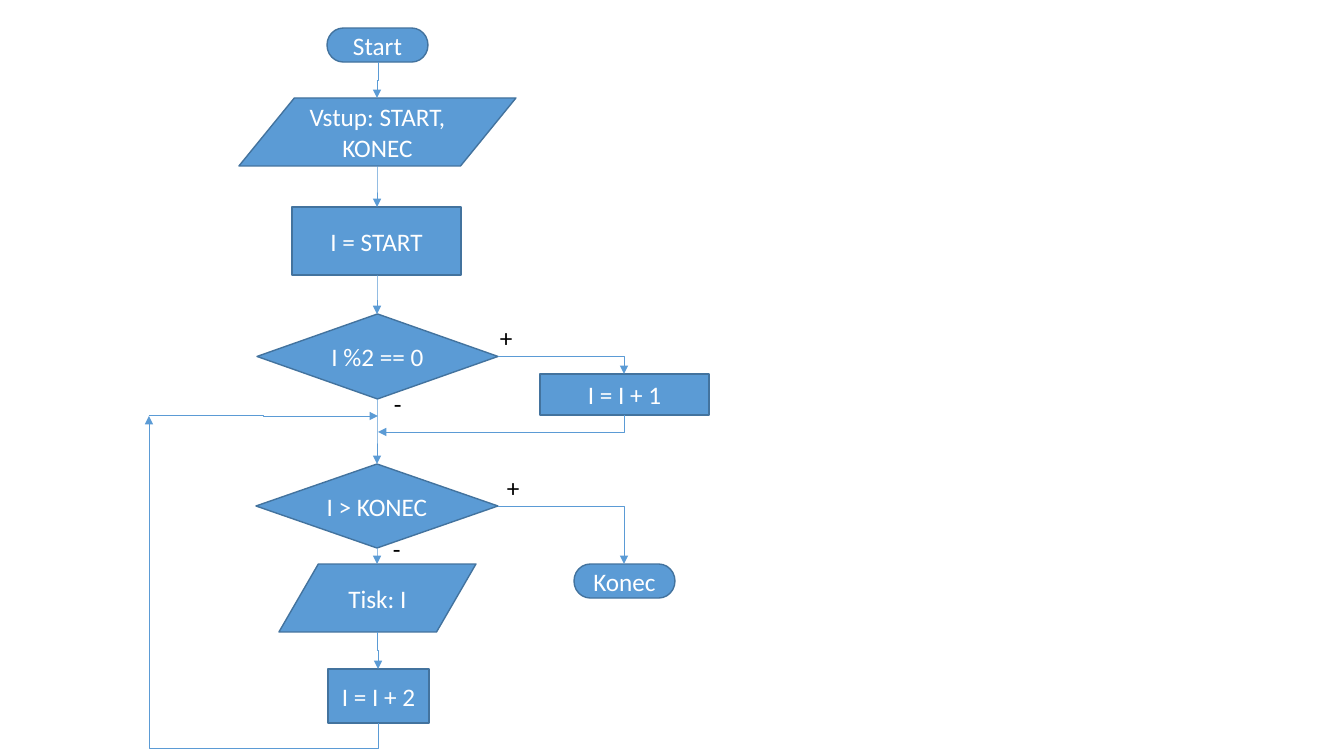
import pptx
import pptx.dml.color
import pptx.enum.shapes
import pptx.enum.text
import pptx.oxml.ns
import pptx.util
from lxml import etree

SCALE = 914400 / 100.8  # EMU per pixel
COLORS = {"fill": "5B9BD5", "outline": "43739E", "light": "FFFFFF", "dark": "000000"}
SHAPE = pptx.enum.shapes.MSO_SHAPE
qn = pptx.oxml.ns.qn


def px(*values):
    return [pptx.util.Emu(round(value * SCALE)) for value in values]


def color(name):
    return pptx.dml.color.RGBColor.from_string(COLORS[name])


class Flowchart:
    font = "Calibri"
    size = 18

    def __init__(self, slide):
        self.slide = slide

    def set_text(self, shape, text, color_name):
        shape.text_frame.text = text
        paragraph = shape.text_frame.paragraphs[0]
        for run in paragraph.runs:
            run.font.name = self.font
            run.font.size = pptx.util.Pt(self.size)
            run.font.color.rgb = color(color_name)
        return paragraph

    def node(self, kind, text, left, top, width, height):
        shape = self.slide.shapes.add_shape(kind, *px(left, top, width, height))
        shape.shadow.inherit = False
        shape.fill.solid()
        shape.fill.fore_color.rgb = color("fill")
        shape.line.color.rgb = color("outline")
        shape.line.width = pptx.util.Pt(1)
        shape.text_frame.word_wrap = True
        shape.text_frame.vertical_anchor = pptx.enum.text.MSO_ANCHOR.MIDDLE
        paragraph = self.set_text(shape, text, "light")
        paragraph.alignment = pptx.enum.text.PP_ALIGN.CENTER

    def label(self, text, left, top, width, height=40):
        box = self.slide.shapes.add_textbox(*px(left, top, width, height))
        box.text_frame.word_wrap = False
        box.text_frame.auto_size = pptx.enum.text.MSO_AUTO_SIZE.SHAPE_TO_FIT_TEXT
        self.set_text(box, text, "dark")

    def arrow(self, start, end, vertical=True, bends=2, adjust=None):
        """Elbow arrow that leaves its start vertically or horizontally."""
        (x1, y1), (x2, y2) = start, end
        rotation = 0
        if vertical:
            # A turned elbow is laid out in a box with swapped sides, same centre
            rotation = 90 if x2 <= x1 else 270
            flipped = (x2 > x1) == (y2 > y1)
            center_x, center_y = (x1 + x2) / 2, (y1 + y2) / 2
            half_width, half_height = abs(y2 - y1) / 2, abs(x2 - x1) / 2
            x1, x2 = center_x - half_width, center_x + half_width
            y1, y2 = center_y - half_height, center_y + half_height
            if flipped:
                x1, x2 = x2, x1
        connector = self.slide.shapes.add_connector(
            pptx.enum.shapes.MSO_CONNECTOR.ELBOW, *px(x1, y1, x2, y2))
        connector.line.color.rgb = color("fill")
        connector.line.width = pptx.util.Pt(0.5)

        # Turn, bend, arrowhead and no shadow
        properties = connector._element.spPr
        if rotation:
            properties.find(qn("a:xfrm")).set("rot", str(rotation * 60000))
        geometry = properties.find(qn("a:prstGeom"))
        geometry.set("prst", f"bentConnector{bends + 1}")
        if adjust is not None:
            etree.SubElement(geometry.find(qn("a:avLst")), qn("a:gd"),
                             name="adj1", fmla=f"val {adjust}")
        etree.SubElement(properties.find(qn("a:ln")), qn("a:tailEnd"), type="triangle")
        etree.SubElement(properties, qn("a:effectLst"))


presentation = pptx.Presentation()
presentation.slide_width, presentation.slide_height = px(1344, 756)
chart = Flowchart(presentation.slides.add_slide(presentation.slide_layouts[6]))

# Steps
for step in [
    (SHAPE.FLOWCHART_TERMINATOR, "Start", 327, 28, 101, 34),
    (SHAPE.FLOWCHART_DATA, "Vstup: START, KONEC", 239, 98, 277, 68),
    (SHAPE.FLOWCHART_PROCESS, "I = START", 292, 207, 169, 68),
    (SHAPE.FLOWCHART_DECISION, "I %2 == 0", 257, 314, 241, 85),
    (SHAPE.FLOWCHART_PROCESS, "I = I + 1", 540, 374, 169, 41),
    (SHAPE.FLOWCHART_DECISION, "I > KONEC", 256, 464, 242, 84),
    (SHAPE.FLOWCHART_DATA, "Tisk: I", 279, 564, 197, 68),
    (SHAPE.FLOWCHART_PROCESS, "I = I + 2", 328, 669, 101, 54),
    (SHAPE.FLOWCHART_TERMINATOR, "Konec", 574, 564, 101, 34),
]:
    chart.node(*step)

# Main flow
for start, end in [
    ((378, 62), (377, 98)),
    ((377, 166), (377, 207)),
    ((377, 275), (377, 314)),
    ((377, 399), (377, 464)),
    ((377, 548), (377, 564)),
    ((377, 632), (378, 669)),
]:
    chart.arrow(start, end)

# Side branches
chart.arrow((498, 356), (624, 374), vertical=False, bends=1)
chart.arrow((624, 415), (378, 432), bends=1)
chart.arrow((498, 506), (624, 564), vertical=False, bends=1)

# Loop back
chart.arrow((378, 723), (149, 416), adjust=-8200)
chart.arrow((149, 415), (378, 416), vertical=False)

# Branch labels
for text, left, top, width in [
    ("+", 490, 317, 33),
    ("-", 384, 383, 28),
    ("+", 497, 467, 33),
    ("-", 383, 528, 28),
]:
    chart.label(text, left, top, width)

presentation.save("out.pptx")
